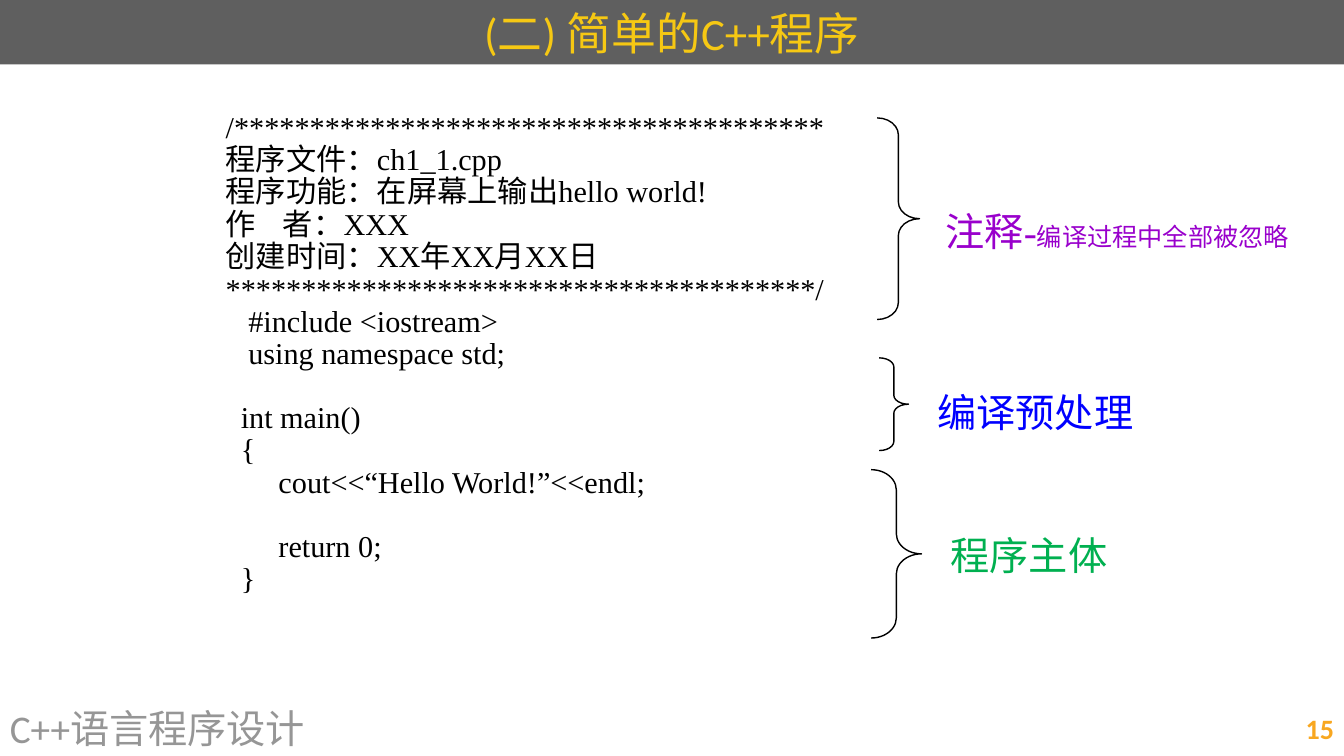
from dataclasses import dataclass

from pptx import Presentation
from pptx.dml.color import RGBColor
from pptx.enum.shapes import MSO_SHAPE
from pptx.enum.text import MSO_ANCHOR, PP_ALIGN
from pptx.util import Emu, Pt

RECT, BRACE = MSO_SHAPE.RECTANGLE, MSO_SHAPE.RIGHT_BRACE
LEFT, MID, RIGHT, JUST = (PP_ALIGN.LEFT, PP_ALIGN.CENTER,
                          PP_ALIGN.RIGHT, PP_ALIGN.JUSTIFY)
TOP, CENTER = MSO_ANCHOR.TOP, MSO_ANCHOR.MIDDLE
SCALE = 9144  # EMU in one px, 100 px to the inch


@dataclass(frozen=True)
class Theme:
    sans: str = "Calibri"
    serif: str = "Times New Roman"
    bar: str = "5F5F5F"
    gold: str = "F6C813"
    gray: str = "969696"
    amber: str = "F8A720"
    ink: str = "000000"
    purple: str = "9900CC"
    blue: str = "0000FF"
    green: str = "00B050"
    title: float = 32
    label: float = 28
    code: float = 21.6
    page: float = 20
    note: float = 18


THEME = Theme()

HEAD = """/***************************************
程序文件：ch1_1.cpp
程序功能：在屏幕上输出hello world!
作    者：XXX
创建时间：XX年XX月XX日
***************************************/""".split("\n")

# Each block of code opens after a gap of one line, except the first
BLOCKS = [
    ["   #include <iostream>", "   using namespace std;"],
    ["  int main()", "  {", "       cout<<“Hello World!”<<endl;"],
    ["       return 0;", "  }"],
]
STEP, GAP = 5, 27.4  # points before a line and before a new block


def px(*nums):
    return [Emu(num * SCALE) for num in nums]


def add_run(para, text, font, size, color, bold=False):
    run = para.add_run()
    run.text = text
    run.font.name = font
    run.font.size = Pt(size)
    run.font.bold = bold
    run.font.color.rgb = RGBColor.from_string(color)


def add_box(shapes, area, anchor=TOP):
    frame = shapes.add_textbox(*px(*area)).text_frame
    frame.word_wrap = True
    frame.vertical_anchor = anchor
    return frame


def add_title(shapes, area, text):
    bar = shapes.add_shape(RECT, *px(*area))
    bar.shadow.inherit = False
    bar.fill.solid()
    bar.fill.fore_color.rgb = RGBColor.from_string(THEME.bar)
    bar.line.fill.background()
    bar.text_frame.vertical_anchor = CENTER
    para = bar.text_frame.paragraphs[0]
    para.alignment = MID
    add_run(para, text, THEME.sans, THEME.title, THEME.gold)


def add_foot(shapes, area, text, size, color, align, bold=False):
    para = add_box(shapes, area, CENTER).paragraphs[0]
    para.alignment = align
    add_run(para, text, THEME.sans, size, color, bold)


def add_code(shapes, area):
    lines = [(text, JUST, STEP) for text in HEAD]
    for num, block in enumerate(BLOCKS):
        for row, text in enumerate(block):
            lines.append((text, LEFT, GAP if num and not row else STEP))
    frame = add_box(shapes, area)
    for num, (text, align, before) in enumerate(lines):
        para = frame.add_paragraph() if num else frame.paragraphs[0]
        # Hanging indent
        props = para._p.get_or_add_pPr()
        props.set("marL", str(38 * SCALE))
        props.set("indent", str(-38 * SCALE))
        para.alignment = align
        para.line_spacing = 0.7
        para.space_before = Pt(before if num else 0)
        add_run(para, text, THEME.serif, THEME.code, THEME.ink)


def add_part(shapes, area, curve, spot, color, runs):
    group = shapes.add_group_shape().shapes
    brace = group.add_shape(BRACE, *px(*area))
    brace.shadow.inherit = False
    brace.adjustments[0] = curve
    brace.adjustments[1] = 0.5
    brace.fill.background()
    brace.line.color.rgb = RGBColor.from_string(THEME.ink)
    brace.line.width = Pt(1)
    para = add_box(group, spot).paragraphs[0]
    for text, size in runs:
        add_run(para, text, THEME.serif, size, color)


def main():
    deck = Presentation()
    deck.slide_width, deck.slide_height = px(1333, 750)
    shapes = deck.slides.add_slide(deck.slide_layouts[6]).shapes

    # Title bar and footer
    add_title(shapes, (0, 0, 1333, 64), "(二) 简单的C++程序")
    add_foot(shapes, (0, 695, 878, 55), "C++语言程序设计",
             THEME.label, THEME.gray, LEFT)
    add_foot(shapes, (956, 695, 377, 55), "15",
             THEME.page, THEME.amber, RIGHT, True)

    # Program listing
    add_code(shapes, (214, 112, 850, 526))

    # Braces with their labels
    add_part(shapes, (870, 117, 42, 200), 0.4, (928, 201, 388, 57),
             THEME.purple, [("注释-", THEME.label),
                            ("编译过程中全部被忽略", THEME.note)])
    add_part(shapes, (872, 355, 29, 92), 0.31, (920, 380, 223, 57),
             THEME.blue, [("编译预处理", THEME.label)])
    add_part(shapes, (864, 466, 50, 167), 0.4, (933, 522, 210, 57),
             THEME.green, [("程序主体", THEME.label)])

    deck.save("out.pptx")


if __name__ == "__main__":
    main()
